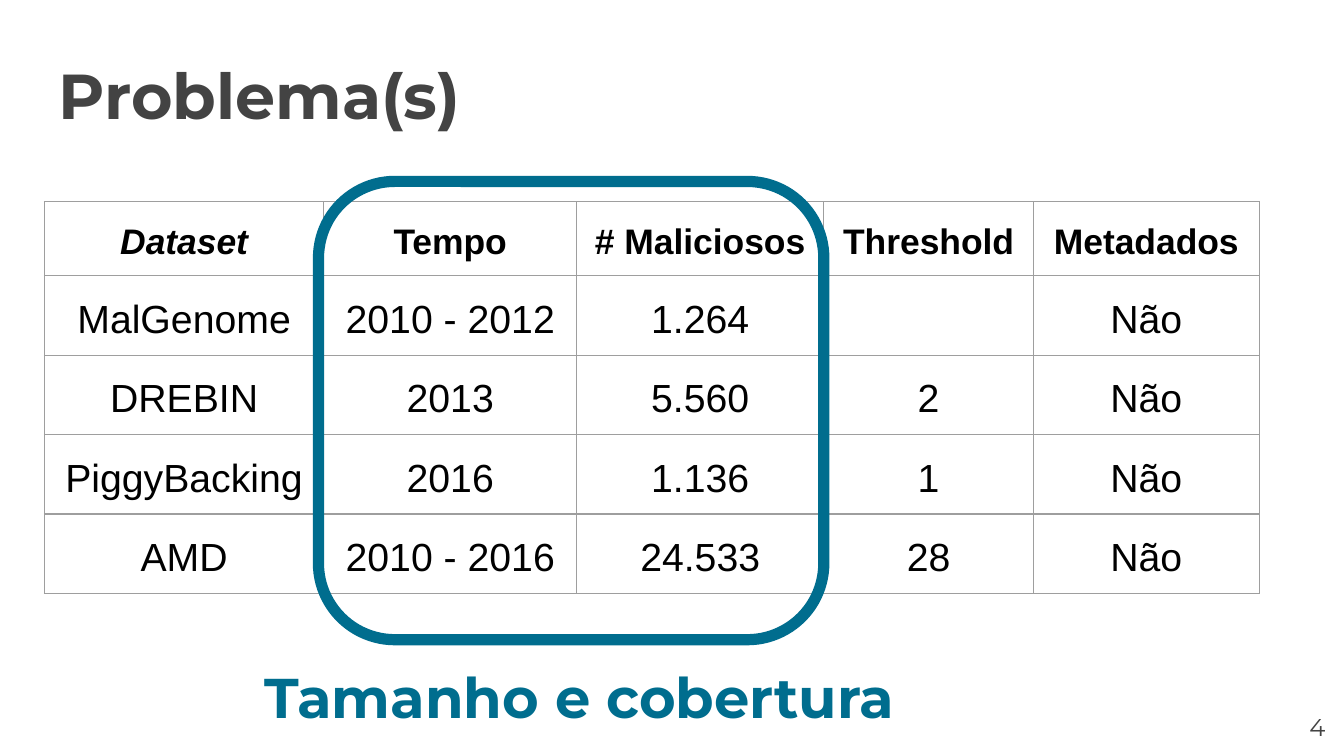
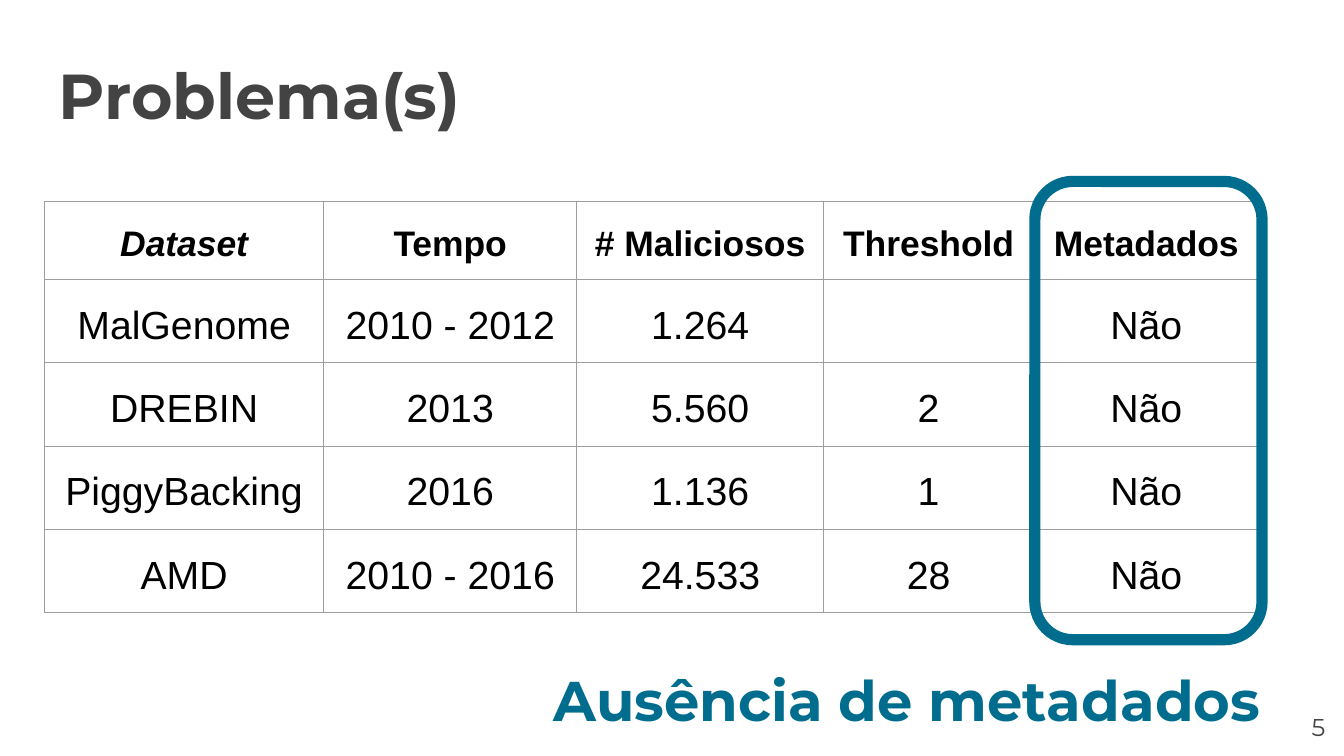
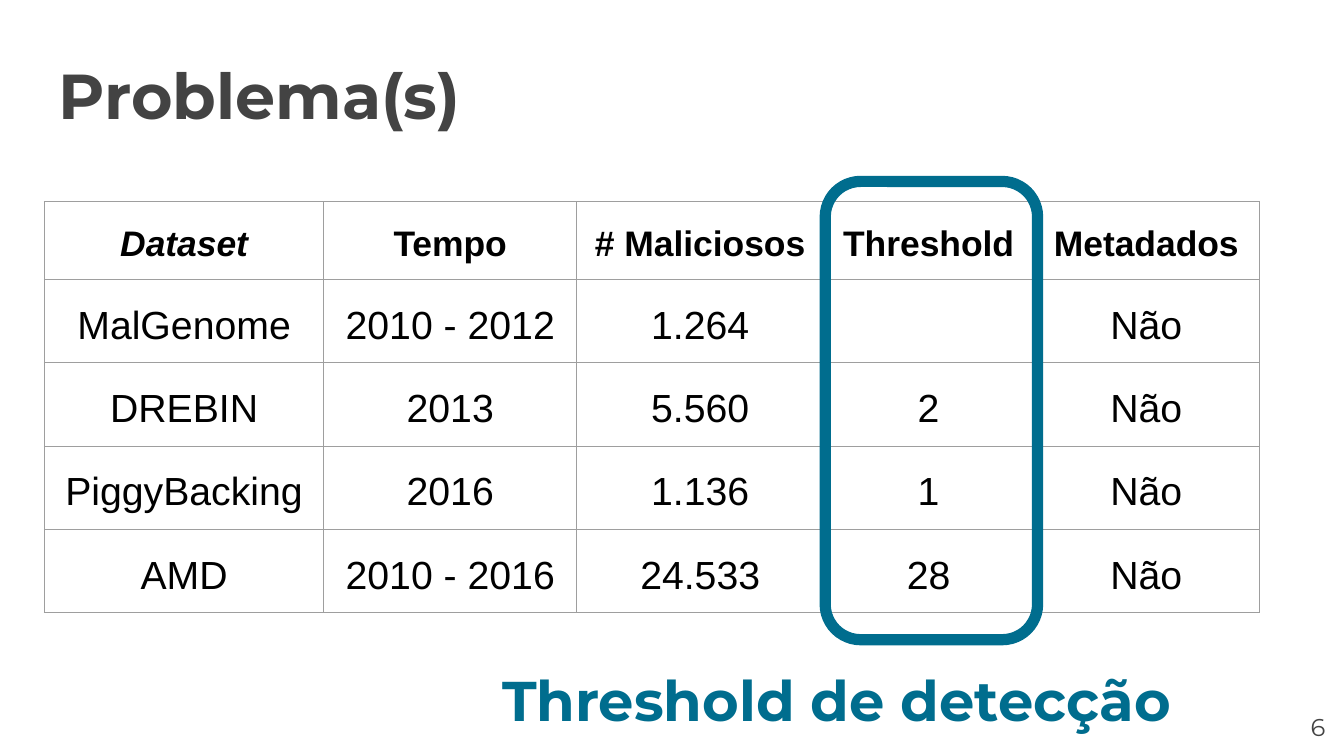
from collections import namedtuple
from dataclasses import dataclass
from itertools import accumulate

from lxml import etree
from pptx import Presentation
from pptx.dml.color import RGBColor
from pptx.enum.shapes import MSO_SHAPE
from pptx.enum.text import MSO_ANCHOR, MSO_AUTO_SIZE, PP_ALIGN
from pptx.oxml.ns import qn
from pptx.util import Inches, Pt

ROUNDED = MSO_SHAPE.ROUNDED_RECTANGLE
TOP, MIDDLE = MSO_ANCHOR.TOP, MSO_ANCHOR.MIDDLE
LEFT, CENTER, RIGHT = PP_ALIGN.LEFT, PP_ALIGN.CENTER, PP_ALIGN.RIGHT
FIXED, GROW = MSO_AUTO_SIZE.NONE, MSO_AUTO_SIZE.SHAPE_TO_FIT_TEXT

# The slide is a grid of 100 columns by 56.25 rows of square units
COLUMNS, ROWS = 100, 56.25
UNIT = Inches(10) / COLUMNS

Box = namedtuple("Box", "left top width height")
Problem = namedtuple("Problem", "number caption caption_box first last nudge")


def units(length):
    return round(length * UNIT)


@dataclass(frozen=True)
class Theme:
    ink: RGBColor = RGBColor(0x43, 0x43, 0x43)
    accent: RGBColor = RGBColor(0x00, 0x6D, 0x8E)
    cell_ink: RGBColor = RGBColor(0x00, 0x00, 0x00)
    rule: str = "9E9E9E"
    rule_width: int = Pt(0.75)
    ring_width: int = Pt(6)
    heading_font: str = "Montserrat"
    table_font: str = "Arial"
    title_size: int = Pt(34)
    caption_size: int = Pt(30)
    cell_size: int = Pt(21)
    header_size: int = Pt(19)
    number_size: int = Pt(13)
    line_spacing: float = 1.2


THEME = Theme()
TITLE_STYLE = {"name": THEME.heading_font, "size": THEME.title_size,
               "bold": True, "color": THEME.ink}
CAPTION_STYLE = {**TITLE_STYLE, "size": THEME.caption_size, "color": THEME.accent}
NUMBER_STYLE = {**TITLE_STYLE, "size": THEME.number_size, "bold": False}
CELL_STYLE = {"name": THEME.table_font, "size": THEME.cell_size,
              "bold": False, "italic": False, "color": THEME.cell_ink}
HEADER_STYLE = {**CELL_STYLE, "size": THEME.header_size, "bold": True}

TITLE_BOX = Box(3.4, 3.2, 93.2, 6.3)
NUMBER_BOX = Box(93.6, 51.9, 6, 4.3)
COLUMN_WIDTHS = (20.8, 18.8, 18.4, 15.6, 16.8)
ROW_HEIGHTS = (5.3,) + (5.6,) * 4
TABLE_BOX = Box(3.3, 15, sum(COLUMN_WIDTHS), sum(ROW_HEIGHTS))
COLUMN_EDGES = list(accumulate(COLUMN_WIDTHS, initial=0))
RING_RISE, RING_HEIGHT = 1.5, 34.1

DATASETS = (
    ("Dataset", "Tempo", "# Maliciosos", "Threshold", "Metadados"),
    ("MalGenome", "2010 - 2012", "1.264", "", "Não"),
    ("DREBIN", "2013", "5.560", "2", "Não"),
    ("PiggyBacking", "2016", "1.136", "1", "Não"),
    ("AMD", "2010 - 2016", "24.533", "28", "Não"),
)

# first and last are the ringed columns; nudge shifts the ring's two sides
PROBLEMS = (
    Problem(4, "Tamanho e cobertura", Box(15, 47.3, 56.2, 7.1), 1, 2, (-0.4, 0)),
    Problem(5, "Ausência de metadados", Box(37.3, 47.5, 60.4, 7.1), 4, 4, (0.1, 0.2)),
    Problem(6, "Threshold de detecção", Box(32.6, 47.5, 59.3, 7.1), 3, 3, (0.1, 0.3)),
)


def set_values(target, values):
    for name, value in values.items():
        setattr(target, name, value)


def write(frame, text, style, align=LEFT, spacing=None):
    set_values(frame, dict.fromkeys(
        ("margin_left", "margin_top", "margin_right", "margin_bottom"), units(1)))
    paragraph = frame.paragraphs[0]
    set_values(paragraph, {"alignment": align, "line_spacing": spacing})
    if text:
        run = paragraph.add_run()
        run.text = text
        font = run.font
    else:
        font = paragraph.font
    set_values(font, {key: value for key, value in style.items() if key != "color"})
    font.color.rgb = style["color"]


def add_text(slide, box, text, style, align=LEFT, spacing=None, anchor=TOP, fit=FIXED):
    frame = slide.shapes.add_textbox(*map(units, box)).text_frame
    set_values(frame, {"word_wrap": True, "vertical_anchor": anchor, "auto_size": fit})
    write(frame, text, style, align, spacing)


def rule_cell(cell):
    """Draw the four borders of a cell and leave it unfilled."""
    properties = cell._tc.get_or_add_tcPr()
    for side in ("a:lnL", "a:lnR", "a:lnT", "a:lnB"):
        border = etree.SubElement(properties, qn(side), w=str(THEME.rule_width))
        solid = etree.SubElement(border, qn("a:solidFill"))
        etree.SubElement(solid, qn("a:srgbClr"), val=THEME.rule)
    cell.fill.background()


def add_datasets(slide, box):
    table = slide.shapes.add_table(
        len(DATASETS), len(COLUMN_WIDTHS), *map(units, box)).table
    set_values(table, {"first_row": False, "horz_banding": False})
    for column, width in zip(table.columns, COLUMN_WIDTHS):
        column.width = units(width)
    for row, height in zip(table.rows, ROW_HEIGHTS):
        row.height = units(height)
    for r, record in enumerate(DATASETS):
        for c, value in enumerate(record):
            cell = table.cell(r, c)
            rule_cell(cell)
            cell.vertical_anchor = MIDDLE
            style = CELL_STYLE if r else {**HEADER_STYLE, "italic": c == 0}
            write(cell.text_frame, value, style, CENTER, THEME.line_spacing)
            set_values(cell, dict.fromkeys(
                ("margin_left", "margin_top", "margin_right", "margin_bottom"), units(1)))


def add_ring(slide, box, problem):
    """Ring the problem's columns of the table that fills the box."""
    start = COLUMN_EDGES[problem.first] + problem.nudge[0]
    end = COLUMN_EDGES[problem.last + 1] + problem.nudge[1]
    ring_box = Box(box.left + start, box.top - RING_RISE, end - start, RING_HEIGHT)
    ring = slide.shapes.add_shape(ROUNDED, *map(units, ring_box))
    ring.shadow.inherit = False
    ring.fill.background()
    ring.line.color.rgb = THEME.accent
    ring.line.width = THEME.ring_width


def add_problem_slide(deck, problem):
    slide = deck.slides.add_slide(deck.slide_layouts[6])
    # Page number and title
    add_text(slide, NUMBER_BOX, str(problem.number), NUMBER_STYLE, RIGHT, anchor=MIDDLE)
    add_text(slide, TITLE_BOX, "Problema(s)", TITLE_STYLE)
    # Datasets with the columns at fault ringed
    add_datasets(slide, TABLE_BOX)
    add_ring(slide, TABLE_BOX, problem)
    # Name of the problem
    add_text(slide, problem.caption_box, problem.caption, CAPTION_STYLE, CENTER,
             THEME.line_spacing, fit=GROW)


def main():
    deck = Presentation()
    deck.slide_width, deck.slide_height = units(COLUMNS), units(ROWS)
    for problem in PROBLEMS:
        add_problem_slide(deck, problem)
    deck.save("out.pptx")


if __name__ == "__main__":
    main()
